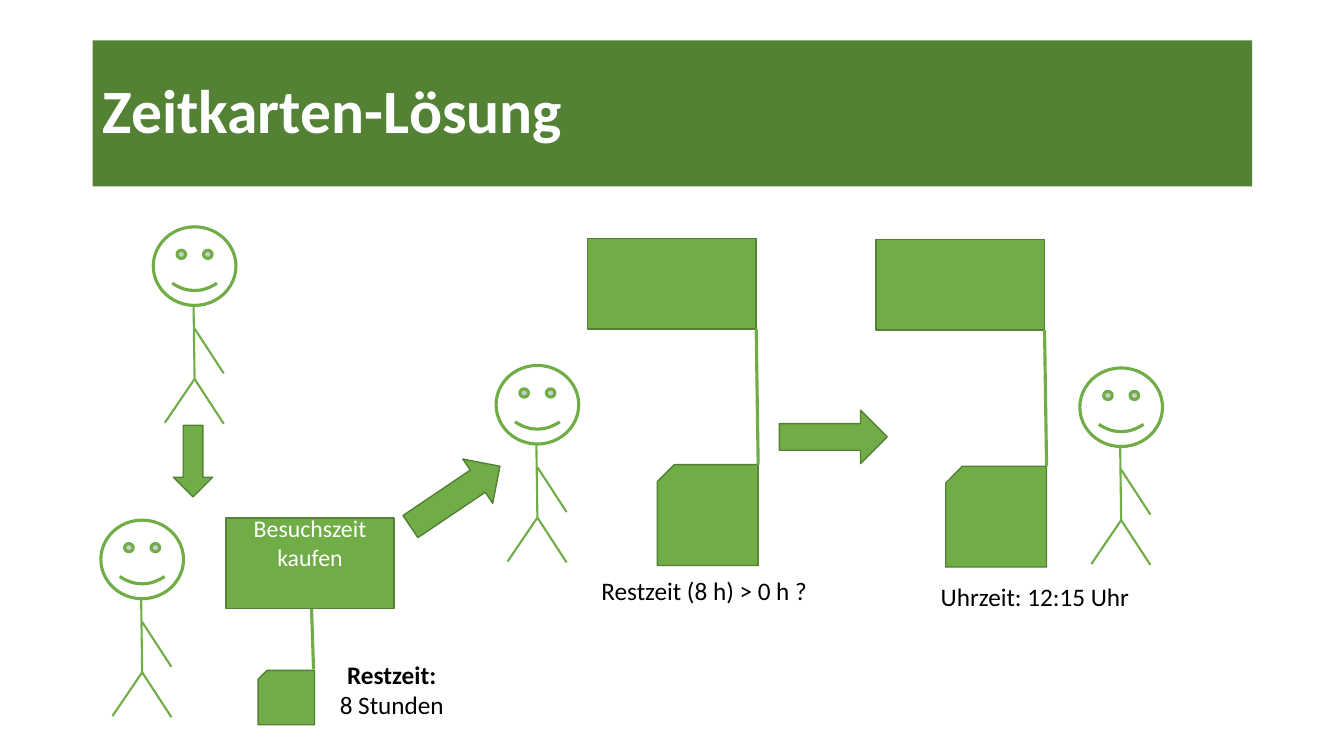
from lxml import etree
from pptx import Presentation
from pptx import util as u
from pptx.dml.color import RGBColor
from pptx.enum import shapes, text
from pptx.oxml.ns import qn

WHITE = RGBColor(0xFF, 0xFF, 0xFF)
BLACK = RGBColor(0x00, 0x00, 0x00)
GREEN = RGBColor(0x70, 0xAD, 0x47)
EDGE = RGBColor(0x53, 0x80, 0x35)
BANNER = RGBColor(0x54, 0x82, 0x35)

SHAPE = shapes.MSO_SHAPE
CENTER = text.PP_ALIGN.CENTER


class Board:
    """Style and current slide; lengths are cells of a 0.1 inch grid."""

    font = "Calibri"
    cell = u.Inches(0.1)

    def __init__(self, slide):
        self.s = slide

    def grid(self, *cells):
        return [round(n * self.cell) for n in cells]

    def shape(self, kind, box, fill=GREEN, line=EDGE, width=1, turn=0):
        sp = self.s.shapes.add_shape(kind, *self.grid(*box))
        sp.shadow.inherit = False
        sp.fill.solid()
        sp.fill.fore_color.rgb = fill
        sp.line.color.rgb = line
        sp.line.width = u.Pt(width)
        sp.rotation = turn
        return sp

    def line(self, x1, y1, x2, y2, width=1.5):
        ln = self.s.shapes.add_connector(
            shapes.MSO_CONNECTOR.STRAIGHT, *self.grid(x1, y1, x2, y2))
        ln.line.color.rgb = GREEN
        ln.line.width = u.Pt(width)
        etree.SubElement(ln._element.spPr, qn("a:effectLst"))

    def label(self, box, lines, size=18, color=BLACK, bold_first=False, align=CENTER):
        sp = self.s.shapes.add_textbox(*self.grid(*box))
        tf = sp.text_frame
        tf.word_wrap = True
        tf.text = "\n".join(lines)
        for i, p in enumerate(tf.paragraphs):
            p.alignment = align
            p.font.name = self.font
            p.font.size = u.Pt(size)
            p.font.color.rgb = color
            p.font.bold = bold_first and i == 0
        return sp

    def title(self, box, words):
        sp = self.label(box, [words], 44, WHITE, True, text.PP_ALIGN.LEFT)
        sp.fill.solid()
        sp.fill.fore_color.rgb = BANNER
        sp.text_frame.vertical_anchor = text.MSO_ANCHOR.MIDDLE
        sp.text_frame.paragraphs[0].line_spacing = 0.9

    def visitor(self, x, y):
        self.shape(SHAPE.SMILEY_FACE, (x, y, 8.2, 7.8), WHITE, GREEN, 2.25)
        hip = (x + 4.1, y + 15.1)
        self.line(x + 4, y + 7.8, *hip)                   # body
        self.line(*hip, x + 1.15, y + 19.45)              # left leg
        self.line(*hip, x + 7, y + 19.55)                 # right leg
        self.line(x + 4.1, y + 10.1, x + 7, y + 14.55)    # arm

    def arrow(self, box, turn=0):
        self.shape(SHAPE.RIGHT_ARROW, box, turn=turn)

    def terminal(self, x, y, post, card):
        """Sign on a post, with a time card below it."""
        self.shape(SHAPE.SNIP_1_RECTANGLE, card, turn=270)
        self.shape(SHAPE.RECTANGLE, (x, y, 16.7, 9))
        self.line(x + post, y + 9, x + post + 0.2, card[1], 2.25)


def main():
    prs = Presentation()
    prs.slide_width, prs.slide_height = u.Inches(13.33), u.Inches(7.5)
    board = Board(prs.slides.add_slide(prs.slide_layouts[6]))

    board.title((9.2, 4, 115, 14.5), "Zeitkarten-Lösung")

    # Visitors
    for x, y in [(15.2, 22.5), (10, 51.6), (49.2, 36.25), (107.1, 36.5)]:
        board.visitor(x, y)

    # Buying, entry and exit terminals
    board.terminal(22.4, 51.4, 8.5, (25.7, 66.4, 5.4, 5.6))
    board.terminal(58.3, 23.65, 16.7, (65.2, 46.1, 10, 10))
    board.terminal(86.9, 23.75, 16.7, (93.8, 46.25, 10, 10))

    # Steps between the stations
    board.arrow((15.6, 43.8, 7.1, 3.9), 90)
    board.arrow((39.8, 46.6, 10.7, 5.3), 326)
    board.arrow((77.3, 40.7, 10.7, 5.3))

    # Labels
    board.label((23.2, 50.5, 15.1, 6.7), ["Besuchszeit kaufen"], 17, WHITE)
    board.label((31.4, 64.9, 14.9, 7.1), ["Restzeit:", "8 Stunden"], bold_first=True)
    board.label((58.4, 56.6, 22.9, 4), ["Restzeit (8 h) > 0 h ?"])
    board.label((90.9, 57.2, 23.5, 4), ["Uhrzeit: 12:15 Uhr"])

    prs.save("out.pptx")


if __name__ == "__main__":
    main()
